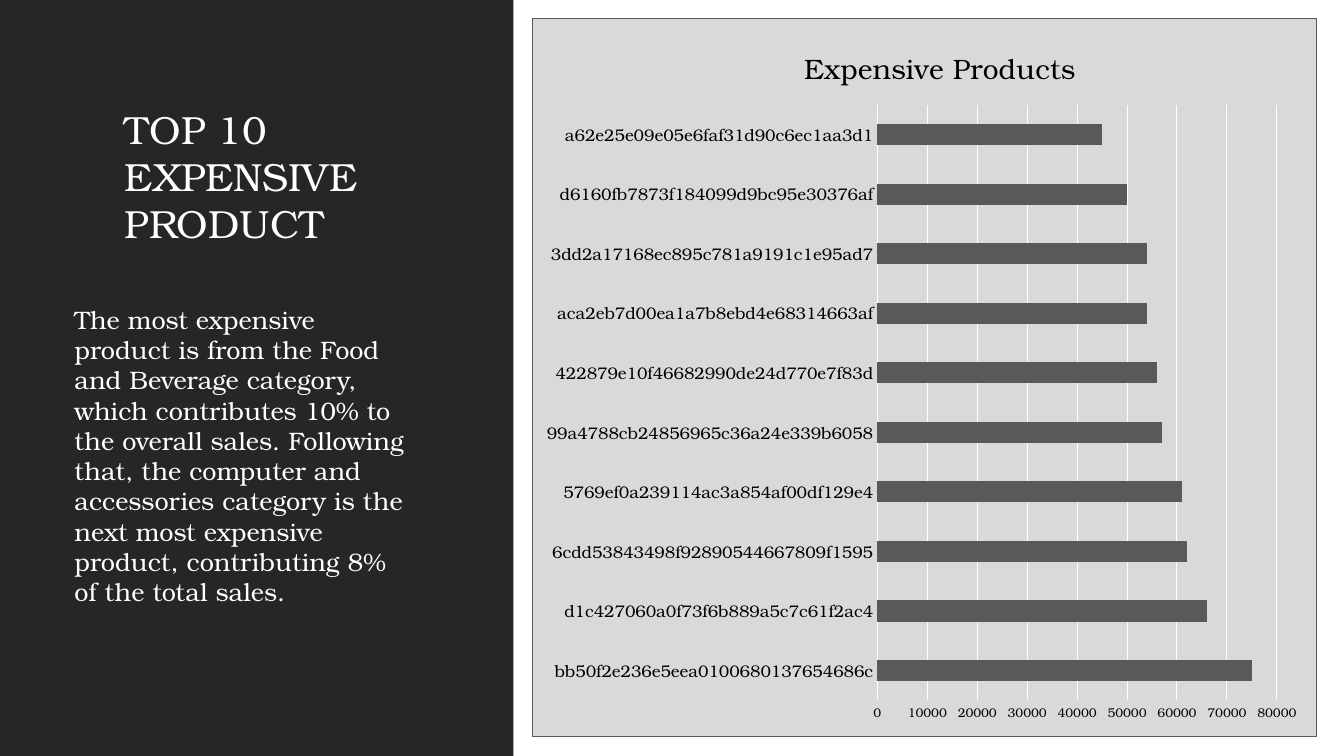
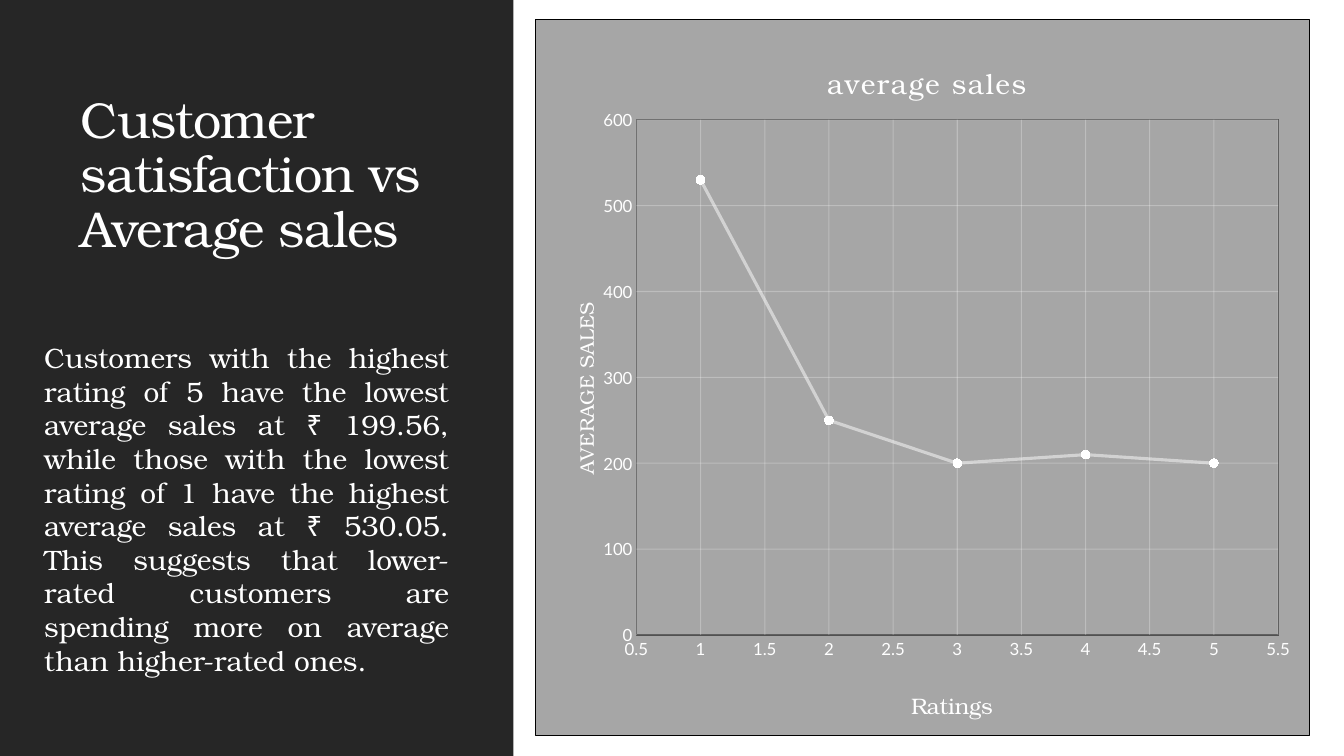
"""Build two slides, each with a dark text panel beside a framed chart."""
from dataclasses import dataclass

from pptx import Presentation, util as u
from pptx.chart import data
from pptx.dml.color import RGBColor
from pptx.enum import chart as ch, shapes, text
from pptx.oxml import parse_xml
from pptx.oxml.ns import nsdecls


@dataclass(frozen=True)
class Theme:
    serif: str = "TeX Gyre Bonum"
    sans: str = "Lato"
    white: str = "FFFFFF"
    black: str = "000000"
    panel: str = "262626"
    bar: str = "595959"
    pale: str = "D9D9D9"
    grey: str = "A6A6A6"
    edge: str = "404040"
    thin: float = 0.75
    head: int = 20
    base: int = 10
    small: int = 9
    label: int = 12


class Deck:
    def __init__(self, theme):
        self.t = theme
        self.prs = Presentation()
        self.prs.slide_width = u.Inches(13.33)
        self.prs.slide_height = u.Inches(7.5)

    def box(self, x, y, w, h):
        wide, high = self.prs.slide_width, self.prs.slide_height
        return [int(size * part / 100) for size, part in
                ((wide, x), (high, y), (wide, w), (high, h))]

    def page(self):
        self.cur = self.prs.slides.add_slide(self.prs.slide_layouts[6])
        band = self.cur.shapes.add_shape(
            shapes.MSO_SHAPE.RECTANGLE, *self.box(0, 0, 38.2, 100))
        band.shadow.inherit = False
        band.fill.solid()
        band.fill.fore_color.rgb = RGBColor.from_string(self.t.panel)
        band.line.fill.background()

    def font(self, font, size, color, name=None):
        font.size = u.Pt(size)
        font.bold = False
        font.name = name or self.t.serif
        font.color.rgb = RGBColor.from_string(color)

    def track(self, run, gap):
        run.font._element.set("spc", str(int(gap * 100)))

    def words(self, area, copy, size, align=text.PP_ALIGN.LEFT,
              anchor=text.MSO_ANCHOR.TOP, lead=None, gap=0):
        frame = self.cur.shapes.add_textbox(*self.box(*area)).text_frame
        frame.word_wrap = True
        frame.vertical_anchor = anchor
        para = frame.paragraphs[0]
        para.text = copy
        para.alignment = align
        para.line_spacing = lead
        self.font(para.runs[0].font, size, self.t.white)
        if gap:
            self.track(para.runs[0], gap)

    def place(self, node, index, x, y, w=None, h=None):
        for old in node.xpath("./c:layout"):
            node.remove(old)
        inner = '<c:layoutTarget val="inner"/>' if w else ""
        modes = '<c:xMode val="edge"/><c:yMode val="edge"/>'
        sizes = "".join(f'<c:{key} val="{val}"/>' for key, val in
                        zip("xywh", (x, y, w, h)) if val is not None)
        node.insert(index, parse_xml(
            f'<c:layout {nsdecls("c")}><c:manualLayout>{inner}{modes}{sizes}'
            '</c:manualLayout></c:layout>'))

    def skin(self, fill, line):
        paint = (f'<a:solidFill><a:srgbClr val="{fill}"/></a:solidFill>'
                 if fill else "<a:noFill/>")
        rule = (f'<a:solidFill><a:srgbClr val="{line}"/></a:solidFill>'
                if line else "<a:noFill/>")
        return parse_xml(
            f'<c:spPr {nsdecls("c", "a")}>{paint}'
            f'<a:ln w="{u.Pt(self.t.thin)}">{rule}</a:ln></c:spPr>')

    def label(self, title, copy, size, color, spot, gap=0):
        title.text_frame.text = copy
        run = title.text_frame.paragraphs[0].runs[0]
        self.font(run.font, size, color)
        if gap:
            self.track(run, gap)
        self.place(title._element, 1, *spot)

    def chart(self, kind, area, rows, plot, fill, edge, wall):
        chart = self.cur.shapes.add_chart(kind, *self.box(*area), rows).chart
        chart.has_legend = False
        self.font(chart.font, self.t.base, self.t.black, self.t.sans)
        chart.plots[0].vary_by_categories = False
        root = chart.element
        root.xpath("./c:chart")[0].addnext(self.skin(fill, edge))
        field = root.xpath(".//c:plotArea")[0]
        self.place(field, 0, *plot)
        field.append(self.skin(*wall))
        return chart

    def axis(self, axis, size, color, name, line=False, grid=True):
        axis.major_tick_mark = axis.minor_tick_mark = ch.XL_TICK_MARK.NONE
        self.font(axis.tick_labels.font, size, color, name)
        axis.has_major_gridlines = grid
        if grid:
            self.stroke(axis.major_gridlines.format.line, self.t.thin)
        if line:
            self.stroke(axis.format.line, self.t.thin)
        else:
            axis.format.line.fill.background()

    def stroke(self, line, width):
        line.width = u.Pt(width)
        line.color.rgb = RGBColor.from_string(self.t.white)

    def scale(self, axis, low, high, step):
        axis.minimum_scale, axis.maximum_scale = low, high
        axis.major_unit = step

    def fade(self, chart, query, share):
        for tint in chart.element.xpath(query + "//a:srgbClr"):
            tint.append(parse_xml(
                f'<a:alpha {nsdecls("a")} val="{share * 1000}"/>'))

    def bars(self, area, title, pairs):
        t = self.t
        rows = data.CategoryChartData()
        rows.categories = [name for name, _ in pairs]
        rows.add_series("Series 1", [val for _, val in pairs])
        chart = self.chart(ch.XL_CHART_TYPE.BAR_CLUSTERED, area, rows,
                           (0.44, 0.12, 0.51, 0.83), t.pale, t.bar,
                           (t.pale, None))
        self.label(chart.chart_title, title, t.head, t.black, (0.34, 0.03))
        chart.plots[0].gap_width = 182
        fill = chart.series[0].format.fill
        fill.solid()
        fill.fore_color.rgb = RGBColor.from_string(t.bar)
        self.axis(chart.category_axis, t.label, t.black, t.serif,
                  line=True, grid=False)
        self.axis(chart.value_axis, t.small, t.black, t.serif)
        self.scale(chart.value_axis, 0, 80000, 10000)

    def dots(self, area, title, across, up, points):
        t = self.t
        rows = data.XyChartData()
        line = rows.add_series("Series 1")
        for x, y in points:
            line.add_data_point(x, y)
        chart = self.chart(ch.XL_CHART_TYPE.XY_SCATTER_LINES, area, rows,
                           (0.13, 0.14, 0.83, 0.72), t.grey, t.black,
                           (None, t.edge))
        self.label(chart.chart_title, title, t.head, t.white,
                   (0.37, 0.05), 1)
        for axis, name, size, spot, span in (
                (chart.category_axis, across, 16, (0.48, 0.93),
                 (0.5, 5.5, 0.5)),
                (chart.value_axis, up, 14, (0.04, 0.39), (0, 600, 100))):
            self.axis(axis, t.label, t.white, t.sans)
            self.scale(axis, *span)
            self.label(axis.axis_title, name, size, t.white, spot)
        turn = chart.value_axis.axis_title._element.xpath(".//a:bodyPr")[0]
        turn.set("rot", "-5400000")
        turn.set("vert", "horz")
        row = chart.series[0]
        self.stroke(row.format.line, 2.25)
        row.marker.style = ch.XL_MARKER_STYLE.CIRCLE
        row.marker.size = 6
        row.marker.format.fill.solid()
        row.marker.format.fill.fore_color.rgb = RGBColor.from_string(t.white)
        self.stroke(row.marker.format.line, t.thin)
        self.fade(chart, ".//c:majorGridlines", 25)
        self.fade(chart, ".//c:ser/c:spPr/a:ln", 50)


def main():
    deck = Deck(Theme())

    deck.page()
    deck.words((8.55, 13.3, 27.6, 20.1), "TOP 10 EXPENSIVE PRODUCT", 28)
    deck.bars((39.6, 2.4, 58.36, 95.07), "Expensive Products", [
        ("bb50f2e236e5eea0100680137654686c", 75000),
        ("d1c427060a0f73f6b889a5c7c61f2ac4", 66000),
        ("6cdd53843498f92890544667809f1595", 62000),
        ("5769ef0a239114ac3a854af00df129e4", 61000),
        ("99a4788cb24856965c36a24e339b6058", 57000),
        ("422879e10f46682990de24d770e7f83d", 56000),
        ("aca2eb7d00ea1a7b8ebd4e68314663af", 54000),
        ("3dd2a17168ec895c781a9191c1e95ad7", 54000),
        ("d6160fb7873f184099d9bc95e30376af", 50000),
        ("a62e25e09e05e6faf31d90c6ec1aa3d1", 45000)])
    deck.words((4.8, 39.6, 26.1, 45.7),
               "The most expensive product is from the Food and Beverage "
               "category, which contributes 10% to the overall sales. "
               "Following that, the computer and accessories category is "
               "the next most expensive product, contributing 8% of the "
               "total sales.", 18)

    deck.page()
    deck.words((5.25, 11.5, 28.9, 23.3),
               "Customer satisfaction vs Average sales", 36,
               anchor=text.MSO_ANCHOR.BOTTOM, lead=0.9, gap=-0.5)
    deck.words((2.55, 44.4, 31.6, 49.7),
               "Customers with the highest rating of 5 have the lowest "
               "average sales at ₹ 199.56, while those with the lowest "
               "rating of 1 have the highest average sales at ₹ 530.05. "
               "This suggests that lower-rated customers are spending more "
               "on average than higher-rated ones.", 20,
               align=text.PP_ALIGN.JUSTIFY)
    deck.dots((39.84, 2.53, 57.6, 94.8), "average sales", "Ratings",
              "AVERAGE SALES",
              [(1, 530), (2, 250), (3, 200), (4, 210), (5, 200)])

    deck.prs.save("out.pptx")


if __name__ == "__main__":
    main()
